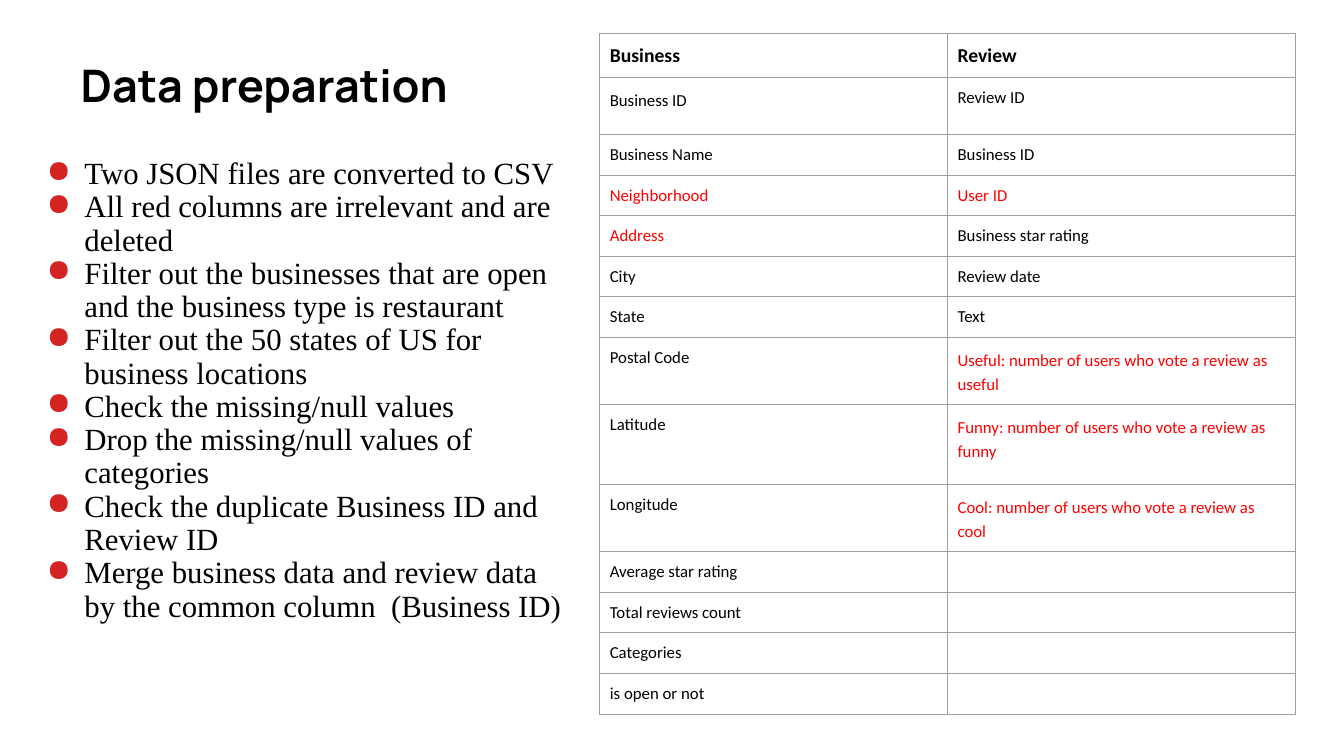
from pptx import Presentation
from pptx import util as u
from pptx.dml.color import RGBColor
from pptx.enum import text
from pptx.oxml import parse_xml
from pptx.oxml.ns import nsdecls

BLACK, RED, BULLET_RED, GRID = "000000", "FF0000", "D32323", "9E9E9E"

STEPS = [
    "Two JSON files are converted to CSV",
    "All red columns are irrelevant and are deleted",
    "Filter out the businesses that are open and the business type is restaurant",
    "Filter out the 50 states of US for business locations",
    "Check the missing/null values",
    "Drop the missing/null values of categories",
    "Check the duplicate Business ID and Review ID",
    "Merge business data and review data by the common column  (Business ID)",
]

# Row height, business column, review column
COLUMNS = [
    (31, "Business", "Review"),
    (41, "Business ID", "Review ID"),
    (29, "Business Name", "Business ID"),
    (29, "Neighborhood", "User ID"),
    (29, "Address", "Business star rating"),
    (29, "City", "Review date"),
    (29, "State", "Text"),
    (48, "Postal Code", "Useful: number of users who vote a review as useful"),
    (57, "Latitude", "Funny: number of users who vote a review as funny"),
    (48, "Longitude", "Cool: number of users who vote a review as cool"),
    (29, "Average star rating", ""),
    (29, "Total reviews count", ""),
    (29, "Categories", ""),
    (29, "is open or not", ""),
]
VOTES = {row[2] for row in COLUMNS if "number of users" in row[2]}
IRRELEVANT = {"Neighborhood", "Address", "User ID"} | VOTES
SPACE_BEFORE = {"Business ID": 12} | {vote: 3 for vote in VOTES}


def color(value):
    return RGBColor.from_string(value)


class SlideBuilder:
    def __init__(self, slide):
        self.slide = slide
        self.title_font = "Manrope"
        self.body_font = "Times New Roman"
        self.table_font = "Calibri"

    def set_font(self, paragraph, name, size, value=BLACK, bold=False):
        font = paragraph.font
        font.name, font.size, font.bold = name, u.Pt(size), bold
        font.color.rgb = color(value)

    def place(self, shape, left, top, width, height):
        shape.left, shape.top = u.Pt(left), u.Pt(top)
        shape.width, shape.height = u.Pt(width), u.Pt(height)

    def title(self, wording, *box):
        shape = self.slide.shapes.title
        self.place(shape, *box)
        frame = shape.text_frame
        frame.text = wording
        frame.auto_size = text.MSO_AUTO_SIZE.NONE
        frame.vertical_anchor = text.MSO_ANCHOR.MIDDLE
        paragraph = frame.paragraphs[0]
        paragraph.alignment = text.PP_ALIGN.LEFT
        paragraph.line_spacing = 0.9
        self.set_font(paragraph, self.title_font, 32, bold=True)

    def bullets(self, lines, *box):
        frame = self.slide.shapes.add_textbox(*map(u.Pt, box)).text_frame
        frame.word_wrap = True
        frame.text = "\n".join(lines)
        for paragraph in frame.paragraphs:
            properties = paragraph._p.get_or_add_pPr()
            properties.set("marL", str(u.Pt(36)))
            properties.set("indent", str(u.Pt(-27)))
            properties.append(parse_xml(
                f'<a:buClr {nsdecls("a")}><a:srgbClr val="{BULLET_RED}"/></a:buClr>'))
            properties.append(parse_xml(f'<a:buChar {nsdecls("a")} char="●"/>'))
            paragraph.line_spacing = 0.9
            self.set_font(paragraph, self.body_font, 22)
        frame.paragraphs[0].space_before = u.Pt(10)

    def cell(self, cell, wording, header):
        cell.margin_left = cell.margin_right = u.Pt(7.2)
        cell.margin_top = cell.margin_bottom = u.Pt(7.2)
        properties = cell._tc.get_or_add_tcPr()
        for side in "LRTB":
            properties.append(parse_xml(
                f'<a:ln{side} {nsdecls("a")} w="{u.Pt(0.75)}"><a:solidFill>'
                f'<a:srgbClr val="{GRID}"/></a:solidFill></a:ln{side}>'))
        cell.fill.background()
        cell.text = wording
        paragraph = cell.text_frame.paragraphs[0]
        self.set_font(paragraph, self.table_font, 14 if header else 12,
                      RED if wording in IRRELEVANT else BLACK, header)
        if not wording:
            paragraph._p.append(parse_xml(f'<a:endParaRPr {nsdecls("a")} sz="1200"/>'))

    def table(self, rows, left, top, width):
        height = sum(row[0] for row in rows)
        table = self.slide.shapes.add_table(
            len(rows), 2, *map(u.Pt, (left, top, width, height))).table
        table.first_row = table.horz_banding = False
        for index, (row_height, *wordings) in enumerate(rows):
            table.rows[index].height = u.Pt(row_height)
            for column, wording in enumerate(wordings):
                cell = table.cell(index, column)
                self.cell(cell, wording, header=index == 0)
                if wording in VOTES or (index, column) == (1, 0):
                    paragraph = cell.text_frame.paragraphs[0]
                    paragraph.line_spacing = 1.15
                    paragraph.space_before = u.Pt(SPACE_BEFORE[wording])


def main():
    presentation = Presentation()
    presentation.slide_width, presentation.slide_height = u.Pt(960), u.Pt(540)
    slide = presentation.slides.add_slide(presentation.slide_layouts[5])
    builder = SlideBuilder(slide)
    builder.title("Data preparation", 50.4, 10.8, 828, 104.4)
    builder.bullets(STEPS, 17.3, 109.4, 398.9, 403.9)
    builder.table(COLUMNS, 428.4, 23.8, 496.8)
    presentation.save("out.pptx")


if __name__ == "__main__":
    main()
